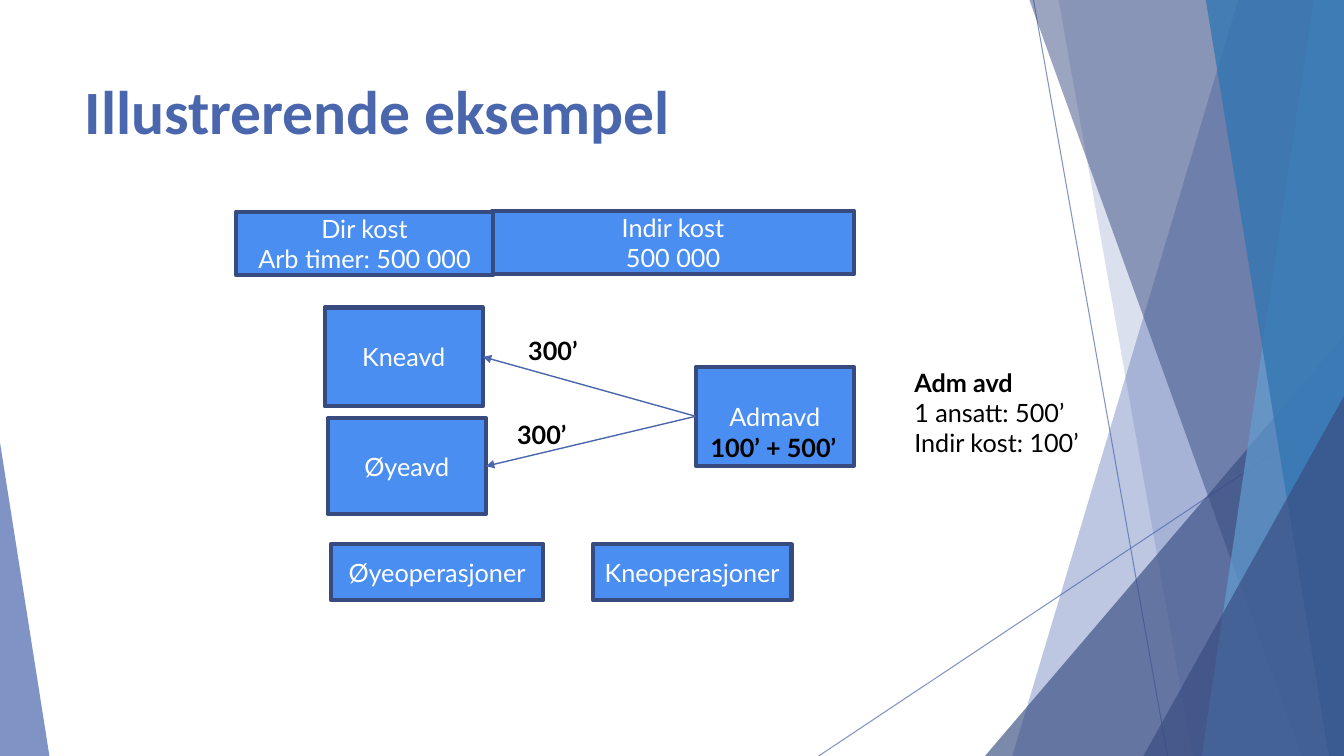
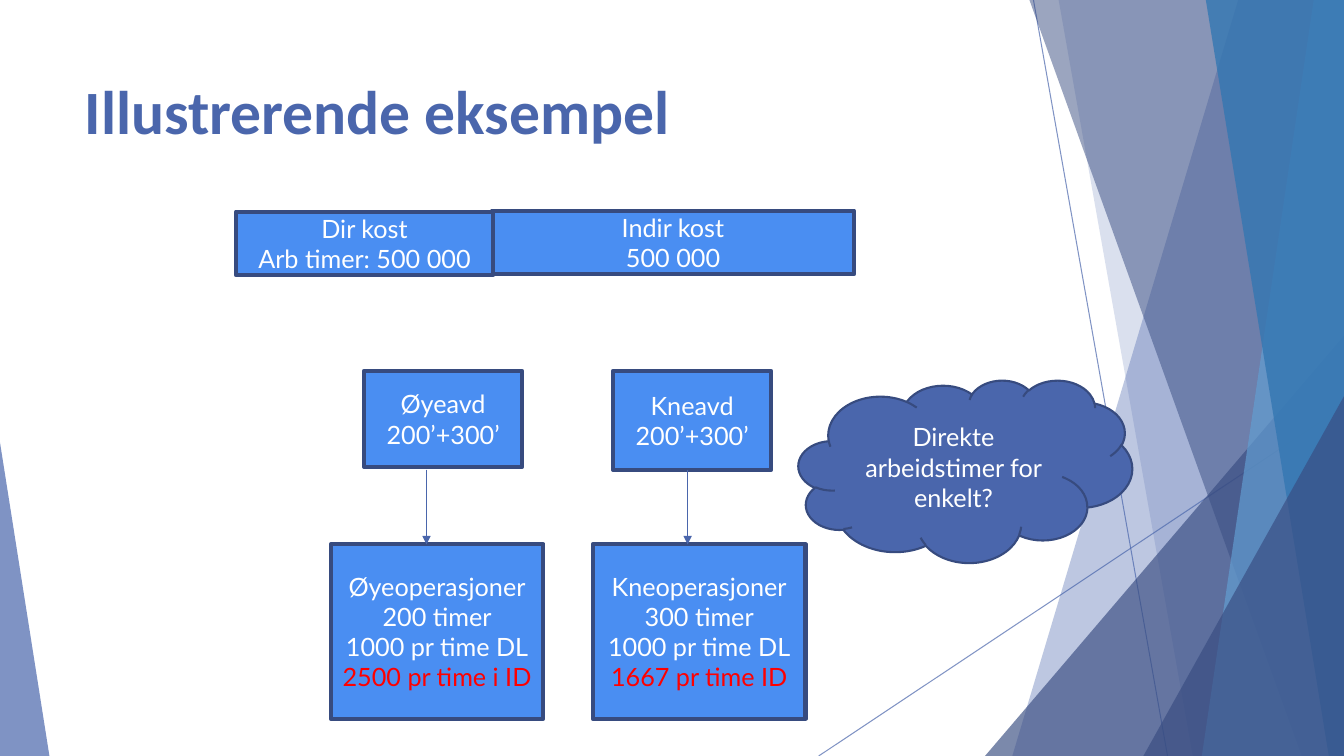
from lxml.etree import SubElement
from pptx import Presentation
from pptx.dml.color import RGBColor
from pptx.enum.shapes import MSO_CONNECTOR, MSO_SHAPE
from pptx.enum.text import MSO_ANCHOR, PP_ALIGN
from pptx.oxml.ns import qn
from pptx.util import Inches, Pt

BLUE = RGBColor(0x4A, 0x66, 0xAC)
NAVY = RGBColor(0x38, 0x4C, 0x81)
SKY = RGBColor(0x62, 0x9D, 0xD1)
OCEAN = RGBColor(0x34, 0x77, 0xB2)
BOX_FILL = RGBColor(0x4A, 0x8E, 0xF2)
BOX_LINE = RGBColor(0x37, 0x4B, 0x7F)
WHITE = RGBColor(0xFF, 0xFF, 0xFF)
BLACK = RGBColor(0, 0, 0)
RED = RGBColor(0xFF, 0, 0)

SLIDE_WIDTH, SLIDE_HEIGHT = 13.33, 7.5
TITLE = "Illustrerende eksempel"
TITLE_PLACE = (0.74, 0.67, 9.4, 1.44)

# Background facets, back to front; bands give top left, top right, bottom right, bottom left
BACKGROUND_LINES = [((10.25, 0), (11.58, 7.5)), ((13.33, 4.03), (8.12, 7.5))]
FACETS = [
    ("band", (12.28, 13.33, 13.33, 10.04), BLUE, 36),
    ("band", (10.5, 13.33, 13.33, 11.83), BLUE, 20),
    ("triangle", (9.77, 3.33, 3.56, 4.17, 1), NAVY, 66),
    ("band", (10.21, 13.33, 13.33, 12.91), NAVY, 50),
    ("band", (13.03, 13.33, 13.33, 11.92), SKY, 70),
    ("band", (11.96, 13.33, 13.33, 13.18), OCEAN, 80),
    ("triangle", (11.34, 3.93, 1.99, 3.57, 1), NAVY, 66),
    ("triangle", (0, 4.39, 0.49, 3.11, 0), BLUE, 70),
]

# Boxes: place and lines of text
COST_BOXES = [
    ((4.88, 2.09, 3.59, 0.63), ["Indir kost", "500 000"]),
    ((2.34, 2.1, 2.55, 0.63), ["Dir kost", "Arb timer: 500 000"]),
]
DEPARTMENT_BOXES = [
    ((3.25, 4.15, 1.57, 0.95), ["Øyeavd"]),
    ((3.22, 3.05, 1.57, 0.98), ["Kneavd"]),
    ((6.9, 3.64, 1.57, 0.98), ["Admavd"]),
]
OPERATION_BOXES = [
    ((3.28, 5.4, 2.11, 0.55), ["Øyeoperasjoner"]),
    ((5.88, 5.4, 1.97, 0.55), ["Kneoperasjoner"]),
]
# Labels: place, lines of text, number of bold lines
LABELS = [
    ((6.95, 4.24, 1.56, 0.4), ["100’ + 500’"], 1),
    ((5.14, 3.28, 0.74, 0.4), ["300’"], 1),
    ((5.03, 4.11, 0.74, 0.4), ["300’"], 1),
    ((8.97, 3.59, 1.92, 1.01), ["Adm avd", "1 ansatt: 500’", "Indir kost: 100’"], 1),
]
RATE_BOXES = [
    ((3.61, 3.68, 1.57, 0.95), ["Øyeavd", "200’+300’"]),
    ((6.08, 3.68, 1.57, 0.98), ["Kneavd", "200’+300’"]),
]
HOUR_BOXES = [
    ((3.28, 5.4, 2.11, 1.73),
     ["Øyeoperasjoner", "200 timer", "1000 pr time DL", "2500 pr time i ID"]),
    ((5.88, 5.4, 2.11, 1.73),
     ["Kneoperasjoner", "300 timer", "1000 pr time DL", "1667 pr time ID"]),
]
DOWN_ARROWS = [4.23, 6.82]
CLOUD = ((7.92, 3.77, 3.31, 1.81), ["Direkte arbeidstimer for enkelt?"])


def inches(values):
    return [Inches(value) for value in values]


def write_text(shape, lines, size=18, font="Lato", color=WHITE, align=PP_ALIGN.CENTER,
               anchor=MSO_ANCHOR.MIDDLE, wrap=True, bold_lines=0, last_color=None):
    frame = shape.text_frame
    frame.word_wrap = wrap
    frame.vertical_anchor = anchor
    for index, line in enumerate(lines):
        paragraph = frame.paragraphs[0] if index == 0 else frame.add_paragraph()
        paragraph.alignment = align
        run = paragraph.add_run()
        run.text = line
        run.font.size = Pt(size)
        run.font.name = font
        run.font.bold = index < bold_lines
        is_last = index == len(lines) - 1
        run.font.color.rgb = last_color if last_color and is_last else color


def set_opacity(shape, percent):
    for color in shape.element.spPr.iter(qn("a:srgbClr")):
        SubElement(color, qn("a:alpha"), val=str(percent * 1000))


def add_line(slide, start, end, width, arrow=False):
    line = slide.shapes.add_connector(MSO_CONNECTOR.STRAIGHT, *inches(start + end))
    line.line.color.rgb = BLUE
    line.line.width = Pt(width)
    if arrow:
        SubElement(line.line._get_or_add_ln(), qn("a:tailEnd"), type="triangle")
    SubElement(line.element.spPr, qn("a:effectLst"))
    return line


def add_box(slide, place, lines, kind=MSO_SHAPE.RECTANGLE, fill=BOX_FILL, line_width=3,
            **text_format):
    box = slide.shapes.add_shape(kind, *inches(place))
    box.shadow.inherit = False
    box.fill.solid()
    box.fill.fore_color.rgb = fill
    box.line.color.rgb = BOX_LINE
    box.line.width = Pt(line_width)
    write_text(box, lines, **text_format)
    return box


def add_boxes(slide, boxes, **text_format):
    return [add_box(slide, place, lines, **text_format) for place, lines in boxes]


def add_facet(slide, kind, geometry, color, opacity):
    if kind == "triangle":
        *place, apex = geometry
        facet = slide.shapes.add_shape(MSO_SHAPE.ISOSCELES_TRIANGLE, *inches(place))
        facet.adjustments[0] = apex
    else:
        edges = (0, 0, SLIDE_HEIGHT, SLIDE_HEIGHT)
        corners = [inches(corner) for corner in zip(geometry, edges)]
        outline = slide.shapes.build_freeform(*corners[0], scale=1.0)
        outline.add_line_segments(corners[1:], close=True)
        facet = outline.convert_to_shape()
    facet.shadow.inherit = False
    facet.fill.solid()
    facet.fill.fore_color.rgb = color
    facet.line.fill.background()
    set_opacity(facet, opacity)
    return facet


def build_layout(presentation):
    layout = presentation.slide_layouts[5]
    title = layout.placeholders[0]
    title.left, title.top, title.width, title.height = inches(TITLE_PLACE)
    return layout


def add_background(slide, layout):
    """Draw the background once and move it to the shared layout."""
    parts = [add_line(slide, start, end, 0.75) for start, end in BACKGROUND_LINES]
    for line in parts:
        set_opacity(line, 70)
    parts += [add_facet(slide, *facet) for facet in FACETS]
    for index, part in enumerate(parts):
        part.element.xpath("./*/p:cNvPr")[0].set("id", str(100 + index))
        layout.shapes.element.insert(2 + index, part.element)


def add_titled_slide(presentation, layout):
    slide = presentation.slides.add_slide(layout)
    write_text(slide.shapes.title, [TITLE], size=44, font="Calibri", color=BLUE,
               align=PP_ALIGN.LEFT, anchor=MSO_ANCHOR.TOP, bold_lines=1)
    return slide


def fill_allocation_slide(slide):
    eye, knee, administration = add_boxes(slide, DEPARTMENT_BOXES)
    add_boxes(slide, COST_BOXES + OPERATION_BOXES)
    for department in (knee, eye):
        arrow = add_line(slide, (0, 0), (1, 1), 1, arrow=True)
        arrow.begin_connect(administration, 1)
        arrow.end_connect(department, 3)
    for place, lines, bold_lines in LABELS:
        label = slide.shapes.add_textbox(*inches(place))
        write_text(label, lines, color=BLACK, align=PP_ALIGN.LEFT, anchor=MSO_ANCHOR.TOP,
                   wrap=False, bold_lines=bold_lines)


def fill_rate_slide(slide):
    add_boxes(slide, RATE_BOXES + COST_BOXES)
    add_boxes(slide, HOUR_BOXES, last_color=RED)
    for x in DOWN_ARROWS:
        add_line(slide, (x, 4.66), (x, 5.4), 1, arrow=True)
    add_box(slide, *CLOUD, kind=MSO_SHAPE.CLOUD, fill=BLUE, line_width=1.5)


def main():
    presentation = Presentation()
    presentation.slide_width = Inches(SLIDE_WIDTH)
    presentation.slide_height = Inches(SLIDE_HEIGHT)
    layout = build_layout(presentation)
    allocation_slide = add_titled_slide(presentation, layout)
    add_background(allocation_slide, layout)
    fill_allocation_slide(allocation_slide)
    fill_rate_slide(add_titled_slide(presentation, layout))
    presentation.save("out.pptx")


if __name__ == "__main__":
    main()
